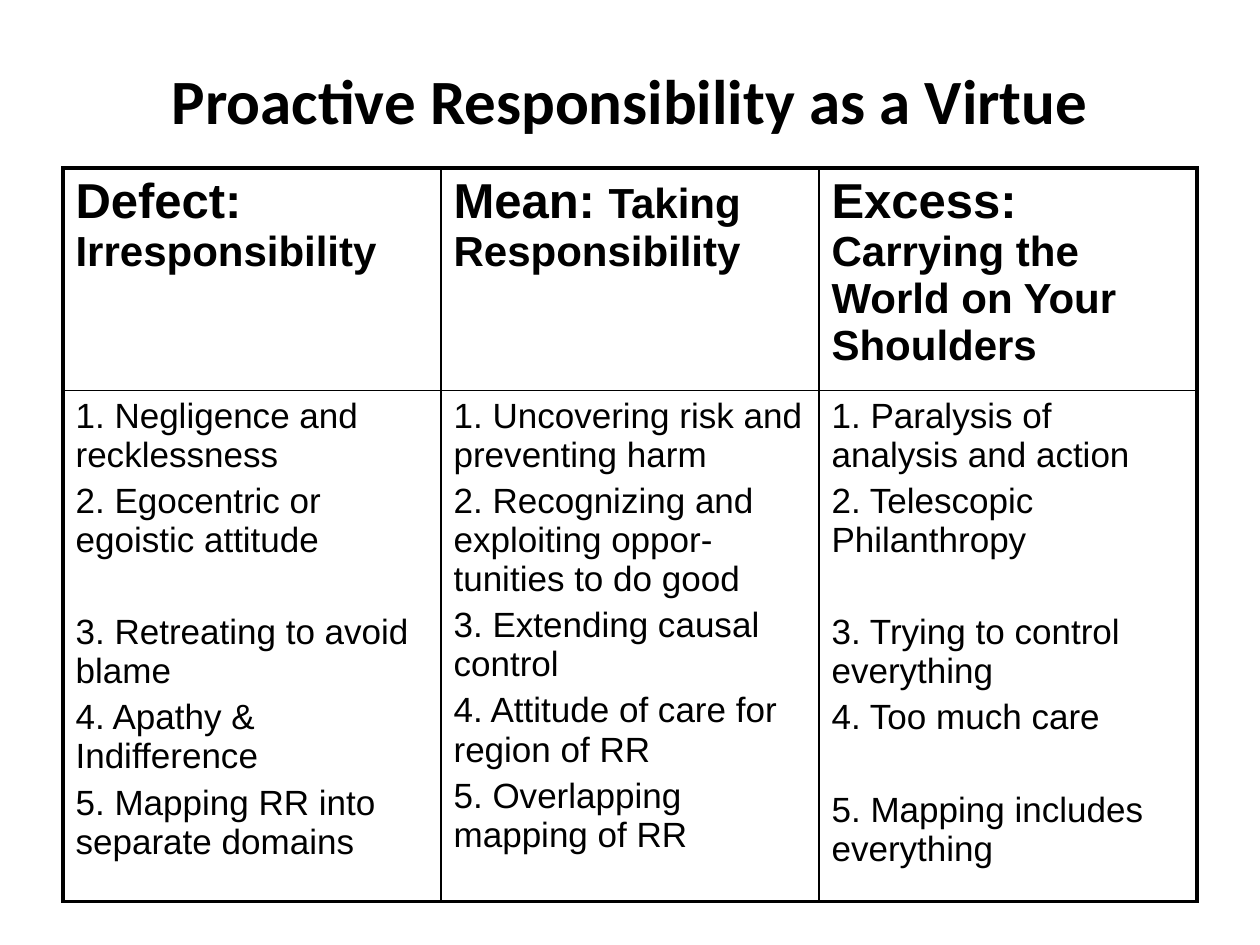
from dataclasses import dataclass

from lxml.etree import SubElement
from pptx import Presentation
from pptx.dml.color import RGBColor
from pptx.enum.text import MSO_ANCHOR, PP_ALIGN
from pptx.oxml.ns import qn
from pptx.util import Pt

COLORS = {"ink": "000000"}
OUTER, INNER = 2.25, 1
ROW_HEIGHTS = (120, 288)
COLUMN_WIDTH = 216
SPACING, WIDE_SPACING = 4, 30.3


@dataclass
class Column:
    label: str
    subject: str
    points: list[str]
    wide_before: tuple[int, ...] = ()


COLUMNS = [
    Column("Defect: ", "Irresponsibility", [
        "Negligence and recklessness",
        "Egocentric or egoistic attitude",
        "Retreating to avoid blame",
        "Apathy & Indifference",
        "Mapping RR into separate domains",
    ], (3,)),
    Column("Mean: ", "Taking Responsibility", [
        "Uncovering risk and preventing harm",
        "Recognizing and exploiting oppor-tunities to do good",
        "Extending causal control",
        "Attitude of care for region of RR",
        "Overlapping mapping of RR",
    ]),
    Column("Excess: ", "Carrying the World on Your Shoulders", [
        "Paralysis of analysis and action",
        "Telescopic Philanthropy",
        "Trying to control everything",
        "Too much care",
        "Mapping includes everything",
    ], (3, 5)),
]


def add_run(p, text: str, size: float, bold: bool = False, font: str = "Arial") -> None:
    r = p.add_run()
    r.text = text
    r.font.name = font
    r.font.size = Pt(size)
    r.font.bold = bold
    r.font.color.rgb = RGBColor.from_string(COLORS["ink"])


def set_borders(cell, row: int, col: int) -> None:
    outer_sides = {
        "a:lnL": col == 0,
        "a:lnR": col == len(COLUMNS) - 1,
        "a:lnT": row == 0,
        "a:lnB": row == len(ROW_HEIGHTS) - 1,
    }
    props = cell._tc.get_or_add_tcPr()
    for side, is_outer in outer_sides.items():
        line = SubElement(props, qn(side), w=str(Pt(OUTER if is_outer else INNER)))
        fill = SubElement(line, qn("a:solidFill"))
        SubElement(fill, qn("a:srgbClr"), val=COLORS["ink"])
    cell.fill.background()


def add_title(s, text: str) -> None:
    tf = s.shapes.add_textbox(Pt(36), Pt(36), Pt(648), Pt(42)).text_frame
    tf.word_wrap = True
    tf.vertical_anchor = MSO_ANCHOR.MIDDLE
    p = tf.paragraphs[0]
    p.alignment = PP_ALIGN.CENTER
    add_run(p, text, 36, True, "Calibri")


def fill_points(tf, column: Column) -> None:
    for number, point in enumerate(column.points, 1):
        p = tf.paragraphs[0] if number == 1 else tf.add_paragraph()
        if number > 1:
            p.space_before = Pt(WIDE_SPACING if number in column.wide_before else SPACING)
        add_run(p, f"{number}. {point}", 20)


def add_virtue_table(s) -> None:
    table = s.shapes.add_table(
        len(ROW_HEIGHTS), len(COLUMNS), Pt(36), Pt(96),
        Pt(COLUMN_WIDTH * len(COLUMNS)), Pt(sum(ROW_HEIGHTS)),
    ).table
    table.first_row = table.horz_banding = False
    for row, height in zip(table.rows, ROW_HEIGHTS):
        row.height = Pt(height)
    for col, column in enumerate(COLUMNS):
        table.columns[col].width = Pt(COLUMN_WIDTH)
        header, body = table.cell(0, col), table.cell(1, col)
        p = header.text_frame.paragraphs[0]
        add_run(p, column.label, 28, True)
        add_run(p, column.subject, 24, True)
        fill_points(body.text_frame, column)
        for row, cell in enumerate((header, body)):
            set_borders(cell, row, col)


prs = Presentation()
prs.slide_width, prs.slide_height = Pt(720), Pt(540)
s = prs.slides.add_slide(prs.slide_layouts[6])
add_title(s, "Proactive Responsibility as a Virtue")
add_virtue_table(s)
prs.save("out.pptx")
